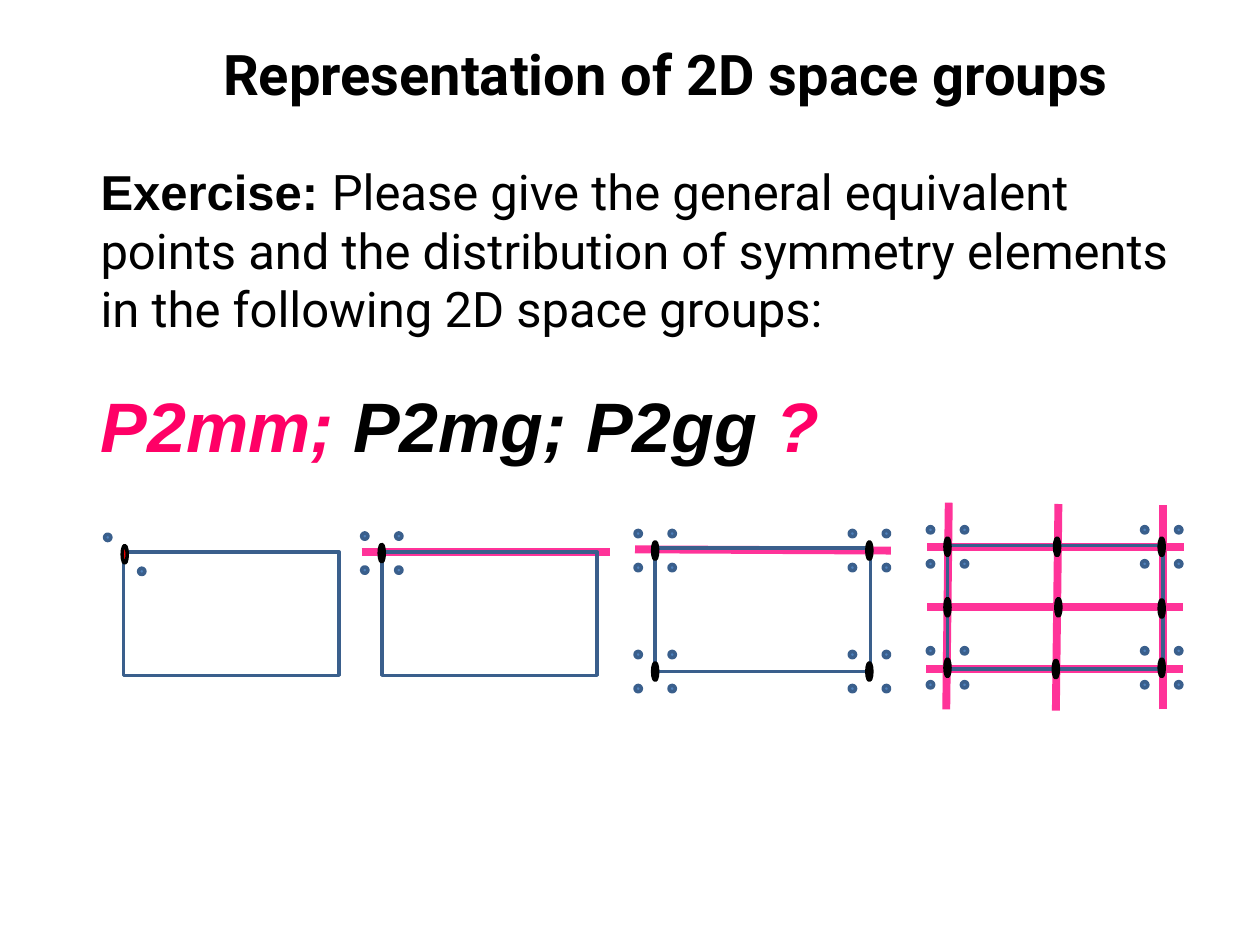
from itertools import product

from lxml import etree
from pptx import Presentation
from pptx.dml.color import RGBColor
from pptx.enum.shapes import MSO_CONNECTOR, MSO_SHAPE
from pptx.enum.text import MSO_ANCHOR, PP_ALIGN
from pptx.oxml.ns import qn
from pptx.util import Inches, Pt

THEME = {
    "black": RGBColor(0x00, 0x00, 0x00),
    "red": RGBColor(0xFF, 0x00, 0x00),
    "accent": RGBColor(0xFF, 0x00, 0x66),
    "mirror": RGBColor(0xFF, 0x33, 0x99),
    "point": RGBColor(0x4F, 0x81, 0xBD),
    "outline": RGBColor(0x3A, 0x5F, 0x8C),
    "heading_font": "Roboto",
    "label_font": "Arial",
    "title_size": Pt(32),
    "body_size": Pt(28),
    "group_size": Pt(40),
    "cell_width": Pt(2),
    "mirror_width": Pt(4.5),
}


def add_mark(kind, left, top, width, height, fill, line):
    mark = slide.shapes.add_shape(
        kind, Inches(left), Inches(top), Inches(width), Inches(height))
    mark.shadow.inherit = False
    if fill is None:
        mark.fill.background()
    else:
        mark.fill.solid()
        mark.fill.fore_color.rgb = fill
    mark.line.color.rgb = line
    mark.line.width = THEME["cell_width"]


def add_run(paragraph, text, font, size, color, bold=False, italic=False):
    run = paragraph.add_run()
    run.text = text
    run.font.name = font
    run.font.size = size
    run.font.color.rgb = color
    run.font.bold = bold
    run.font.italic = italic


prs = Presentation()
prs.slide_width, prs.slide_height = Inches(10), Inches(7.5)
slide = prs.slides.add_slide(prs.slide_layouts[5])

# Title
title = slide.shapes.title
title.left, title.top = Inches(1.67), Inches(0.26)
title.width, title.height = Inches(7.63), Inches(0.64)
title.text_frame.vertical_anchor = MSO_ANCHOR.TOP
heading = title.text_frame.paragraphs[0]
heading.alignment = PP_ALIGN.LEFT
add_run(heading, "Representation of 2D space groups", THEME["heading_font"],
        THEME["title_size"], THEME["black"], bold=True)

# Exercise and space group names: top, height, runs
label, body = THEME["label_font"], THEME["body_size"]
group_size = THEME["group_size"]
texts = [
    (1.23, 2.19, [
        ("Exercise: ", label, body, THEME["black"], True),
        ("Please give the general equivalent points and the distribution of "
         "symmetry elements in the following 2D space groups:",
         THEME["heading_font"], body, THEME["black"]),
    ]),
    (2.99, 0.77, [
        ("P2mm; ", label, group_size, THEME["accent"], True, True),
        ("P2mg; P2gg ", label, group_size, THEME["black"], True, True),
        ("?", label, group_size, THEME["accent"], True, True),
    ]),
]
for top, height, runs in texts:
    box = slide.shapes.add_textbox(
        Inches(0.7), Inches(top), Inches(9.03), Inches(height))
    box.text_frame.word_wrap = True
    for run in runs:
        add_run(box.text_frame.paragraphs[0], *run)

# Construction steps: unit cell corner, mirror lines, rotation points
CELL_W, CELL_H = 1.71, 0.98
AXIS_W, AXIS_H, DOT = 0.04, 0.14, 0.05
COLUMN_GAP, ROW_GAP = 1.7, 0.96
diagonal = [(-0.14, -0.09), (0.13, 0.18)]
all_around = diagonal + [(0.13, -0.09), (-0.14, 0.18)]
corners = list(product((0, 1), (0, 1)))
steps = [
    {"cell": (0.98, 4.38), "mirrors": [], "axes": [(0.97, 4.33)],
     "columns_rows": [(0, 0)], "dots": diagonal, "axis_fill": THEME["red"]},
    {"cell": (3.03, 4.38), "mirrors": [(2.87, 4.38, 4.84, 4.38)],
     "axes": [(3.01, 4.32)], "columns_rows": [(0, 0)], "dots": all_around},
    {"cell": (5.2, 4.35), "mirrors": [(5.04, 4.36, 7.07, 4.37)],
     "axes": [(5.18, 4.3)], "columns_rows": corners, "dots": all_around},
    {"cell": (7.52, 4.33),
     "mirrors": [(8.38, 5.64, 8.4, 4), (9.23, 5.63, 9.23, 4.01),
                 (7.36, 4.34, 9.4, 4.34), (7.35, 5.31, 9.39, 5.31),
                 (7.36, 4.82, 9.39, 4.82), (7.51, 5.63, 7.53, 3.99)],
     "axes": [(7.5, 4.27), (8.37, 4.27), (7.5, 4.75), (8.38, 4.75),
              (9.2, 4.76), (8.36, 5.24)],
     "columns_rows": corners, "dots": all_around},
]
for step in steps:
    for x1, y1, x2, y2 in step["mirrors"]:
        mirror = slide.shapes.add_connector(
            MSO_CONNECTOR.STRAIGHT,
            Inches(x1), Inches(y1), Inches(x2), Inches(y2))
        mirror.line.color.rgb = THEME["mirror"]
        mirror.line.width = THEME["mirror_width"]
        etree.SubElement(mirror._element.spPr, qn("a:effectLst"))

    add_mark(MSO_SHAPE.RECTANGLE, *step["cell"], CELL_W, CELL_H,
             None, THEME["outline"])

    # Twofold axes at the cell corners, each with its equivalent points
    (first_x, first_y), *midpoints = step["axes"]
    axis_fill = step.get("axis_fill", THEME["black"])
    for column, row in step["columns_rows"]:
        x, y = first_x + column * COLUMN_GAP, first_y + row * ROW_GAP
        add_mark(MSO_SHAPE.OVAL, x, y, AXIS_W, AXIS_H,
                 axis_fill, THEME["black"])
        for dx, dy in step["dots"]:
            add_mark(MSO_SHAPE.OVAL, x + dx, y + dy, DOT, DOT,
                     THEME["point"], THEME["outline"])

    # Twofold axes halfway along the cell
    for x, y in midpoints:
        add_mark(MSO_SHAPE.OVAL, x, y, AXIS_W, AXIS_H,
                 axis_fill, THEME["black"])

prs.save("out.pptx")
